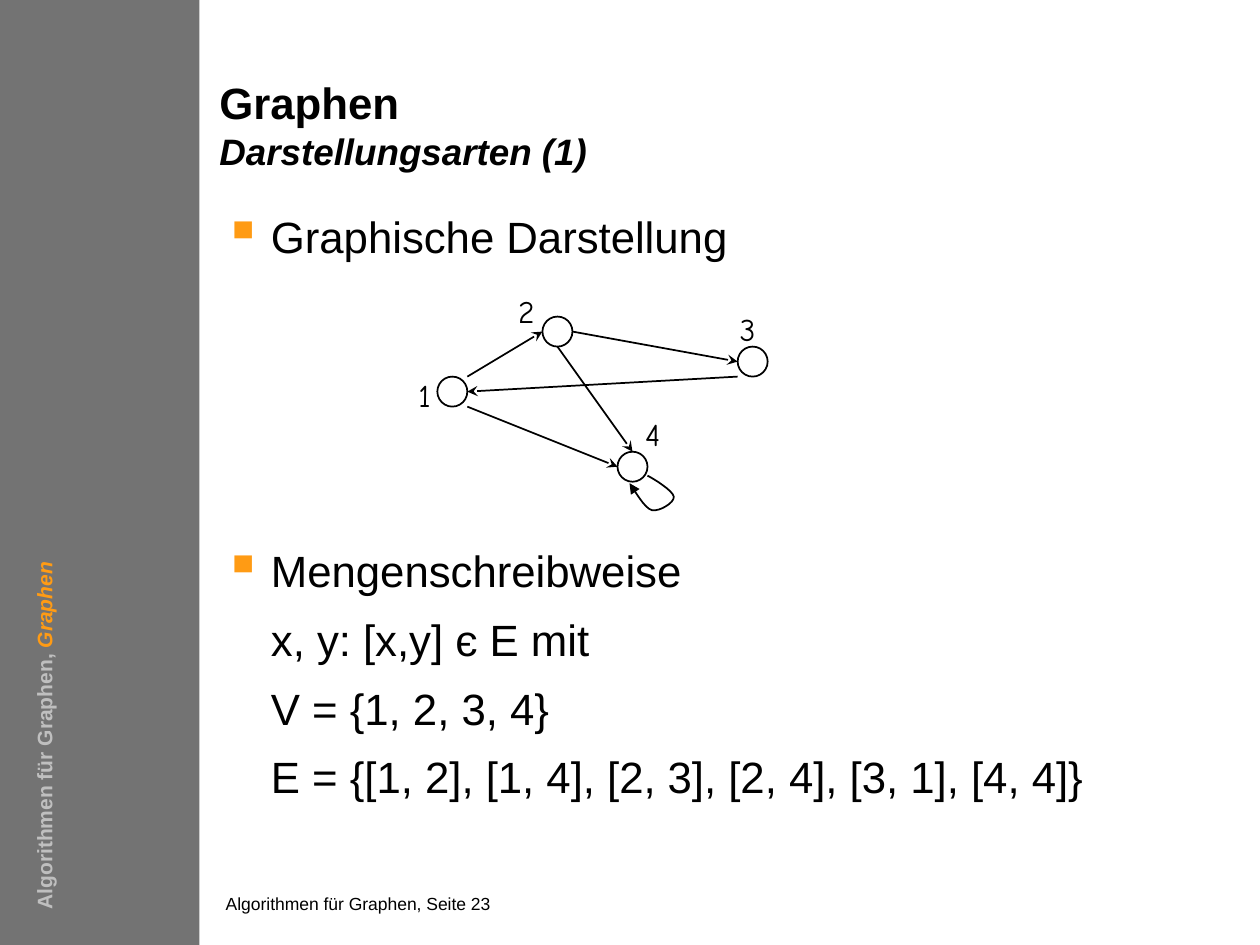
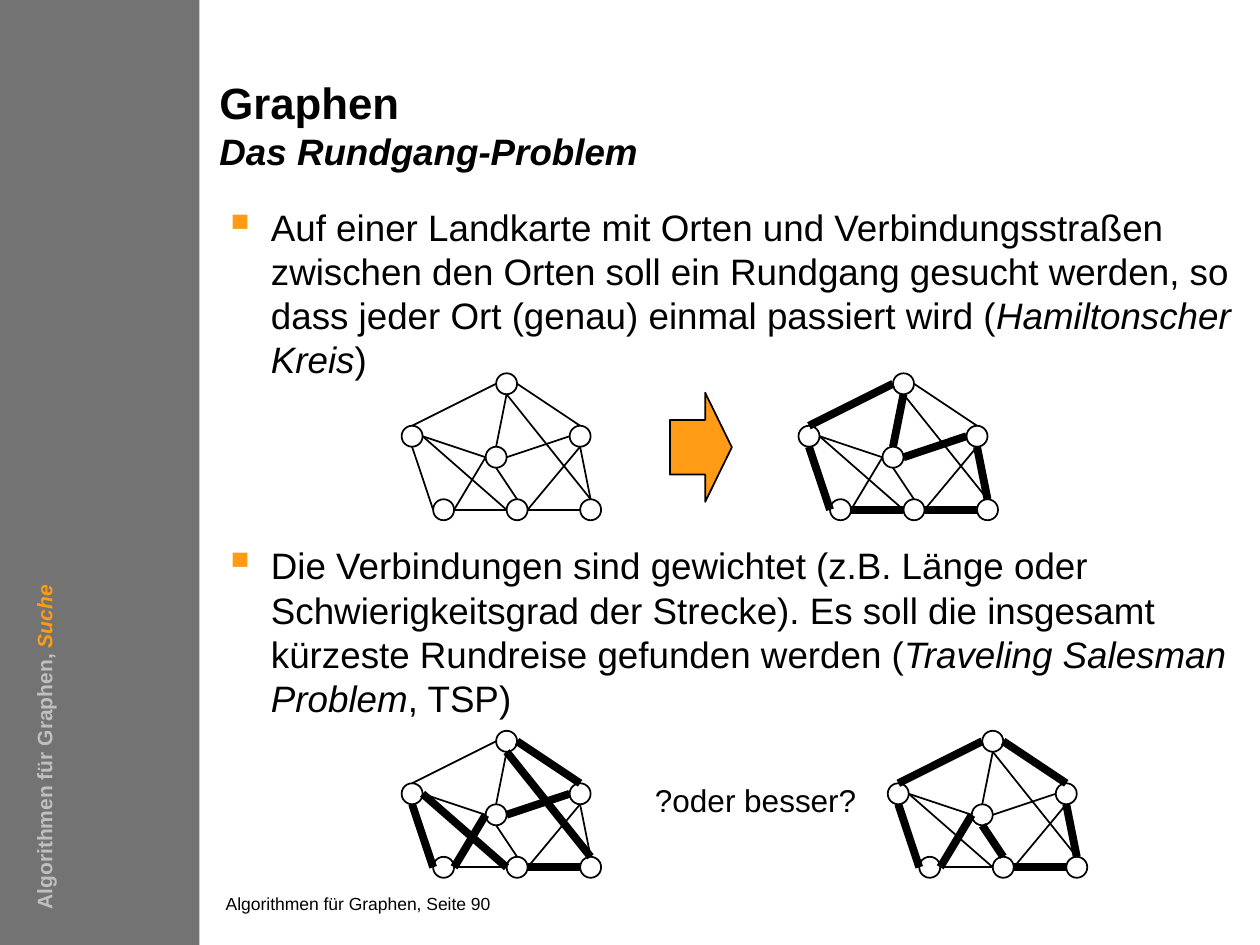
"""Build two lecture slides on graphs and round tours."""
from dataclasses import dataclass
from lxml.etree import SubElement
from pptx import Presentation
from pptx.dml.color import RGBColor
from pptx.enum.shapes import MSO_CONNECTOR, MSO_SHAPE
from pptx.oxml.ns import qn
from pptx.util import Inches, Pt


@dataclass(frozen=True)
class Theme:
    ink: RGBColor = RGBColor.from_string("000000")
    band: RGBColor = RGBColor.from_string("737373")
    pale: RGBColor = RGBColor.from_string("BFBFBF")
    glow: RGBColor = RGBColor.from_string("FF9B14")
    font: str = "Arial"
    hand: str = "Comic Neue"
    head: int = 25
    sub: int = 21
    label: int = 18
    side: int = 12
    foot: int = 10
    thin: float = 1
    thick: float = 4.5


theme = Theme()


@dataclass
class Line:
    words: tuple
    size: int
    bold: bool = False
    slant: bool = False
    tone: RGBColor = theme.ink
    hue: RGBColor = None
    lead: object = None
    gap: float = 0
    dot: bool = False
    left: float = 0
    face: str = theme.font


deck = Presentation()
deck.slide_width, deck.slide_height = Inches(10), Inches(7.5)
cell = deck.slide_width // 120


def box(slide, area, lines, pad=(0, 0), wrap=True):
    shape = slide.shapes.add_textbox(*(round(n * cell) for n in area))
    frame = shape.text_frame
    frame.word_wrap = wrap
    frame.margin_left = frame.margin_right = round(pad[0] * cell)
    frame.margin_top = frame.margin_bottom = round(pad[1] * cell)
    for rank, line in enumerate(lines):
        para = frame.add_paragraph() if rank else frame.paragraphs[0]
        para.line_spacing = line.lead
        if rank:
            para.space_before = Pt(line.gap)
        props = para._p.get_or_add_pPr()
        indent = round(line.left * cell)
        props.set("marL", str(indent))
        props.set("indent", str(-indent if line.dot else 0))
        if line.dot:
            SubElement(SubElement(props, qn("a:buClr")), qn("a:srgbClr"), val=str(theme.glow))
            SubElement(props, qn("a:buSzPct"), val="120000")
            SubElement(props, qn("a:buChar"), char="▪")
        font = para.font
        font.name, font.size, font.bold = line.face, Pt(line.size), line.bold
        font.italic = line.slant
        font.color.rgb = line.tone
        for turn, text in enumerate(line.words):
            run = para.add_run()
            run.text = text
            if turn % 2:
                run.font.italic = True
                if line.hue:
                    run.font.color.rgb = line.hue
    return shape


ports = {"N": (1, 0), "E": (2, 1), "S": (1, 2), "W": (0, 1),
         "NE": (2, 0), "SE": (2, 2), "SW": (0, 2)}


def plot(slide, left, top, unit, nodes, edges, bold=(), tip=None):
    group = slide.shapes.add_group_shape().shapes
    step = unit * cell
    for col, row in nodes.values():
        ring = group.add_shape(MSO_SHAPE.OVAL, round(left * cell + col * step),
                               round(top * cell + row * step), round(2 * step), round(2 * step))
        ring.shadow.inherit = False
        ring.fill.background()
        ring.line.color.rgb, ring.line.width = theme.ink, Pt(theme.thin)
    for rank, edge in enumerate(edges.split(), 1):
        ends = []
        for stop in edge.split("-"):
            (col, row), (right, down) = nodes[stop[0]], ports[stop[1:]]
            ends += [round(left * cell + (col + right) * step),
                     round(top * cell + (row + down) * step)]
        link = group.add_connector(MSO_CONNECTOR.STRAIGHT, *ends)
        link.line.color.rgb = theme.ink
        link.line.width = Pt(theme.thick if rank in bold else theme.thin)
        props = link._element.spPr
        if tip:
            SubElement(props.find(qn("a:ln")), qn("a:tailEnd"), type=tip)
        SubElement(props, qn("a:effectLst"))
    return group


pages = []
for topic, field, page in [("Darstellungsarten (1)", "Graphen", 23),
                           ("Das Rundgang-Problem", "Suche", 90)]:
    slide = deck.slides.add_slide(deck.slide_layouts[6])
    band = slide.shapes.add_shape(MSO_SHAPE.RECTANGLE, 0, 0, 19 * cell, deck.slide_height)
    band.shadow.inherit = False
    band.fill.solid()
    band.fill.fore_color.rgb = theme.band
    band.line.fill.background()
    box(slide, (21.5, 85, 58.3, 2.5),
        [Line((f"Algorithmen für Graphen, Seite {page}",), theme.foot)])
    box(slide, (20.9, 8, 61.2, 9),
        [Line(("Graphen",), theme.head, bold=True, lead=Pt(25.4)),
         Line((topic,), theme.sub, bold=True, slant=True, lead=Pt(25.4))])
    side = box(slide, (-23.8, 58, 56, 3.6),
               [Line(("Algorithmen für Graphen, ", field), theme.side, bold=True,
                     tone=theme.pale, hue=theme.glow)], pad=(1.2, 0.6))
    side.rotation = 270
    pages.append(slide)
forms, tours = pages

rows = [("Graphische Darstellung", True, 0), ("Mengenschreibweise", True, 158),
        ("x, y: [x,y] є E mit", False, 6.3), ("V = {1, 2, 3, 4}", False, 6.3),
        ("E = {[1, 2], [1, 4], [2, 3], [2, 4], [3, 1], [4, 4]}", False, 6.3)]
box(forms, (21.3, 19.5, 96.8, 64.3),
    [Line((text,), theme.head, lead=1.1, gap=gap, dot=dot, left=4.5)
     for text, dot, gap in rows])

left, top, unit = 41.65, 30.15, 1.43
group = plot(forms, left, top, unit, {"1": (0, 4), "2": (7, 0), "3": (20, 2), "4": (12, 9)},
             "1NE-2W 1SE-4W 2E-3W 3SW-1E 2S-4N", tip="stealth")
bends = [((14, 10.6), (14.4, 10.8), (15.7, 11.6), (15.75, 12)),
         ((15.75, 12), (15.8, 12.4), (14.8, 13), (14.3, 12.9)),
         ((14.3, 12.9), (13.8, 12.8), (13.1, 11.5), (12.8, 11.1))]
curve = []
for bend in bends:
    for tick in range(1, 9):
        t = tick / 8
        share = ((1 - t) ** 3, 3 * t * (1 - t) ** 2, 3 * t * t * (1 - t), t ** 3)
        curve.append([round((base + unit * sum(s * p[axis] for s, p in zip(share, bend))) * cell)
                      for axis, base in enumerate((left, top))])
start = bends[0][0]
pen = group.build_freeform(round((left + unit * start[0]) * cell),
                           round((top + unit * start[1]) * cell))
pen.add_line_segments(curve, close=False)
loop = pen.convert_to_shape()
loop.shadow.inherit = False
loop.fill.background()
loop.line.color.rgb, loop.line.width = theme.ink, Pt(theme.thin)
SubElement(loop._element.spPr.find(qn("a:ln")), qn("a:tailEnd"), type="triangle")

for name, col, row in [("1", 38.3, 35), ("2", 47.8, 27), ("3", 68.9, 28.7), ("4", 59.9, 38.7)]:
    box(forms, (col, row, 5, 5.2), [Line((name,), theme.label, face=theme.hand)],
        pad=(1.55, 0.8), wrap=False)

box(tours, (21.3, 19.5, 96.8, 52),
    [Line(("Auf einer Landkarte mit Orten und Verbindungsstraßen zwischen den Orten soll ein "
           "Rundgang gesucht werden, so dass jeder Ort (genau) einmal passiert wird (",
           "Hamiltonscher Kreis", ")"), theme.sub, dot=True, left=4.5),
     Line(("Die Verbindungen sind gewichtet (z.B. Länge oder Schwierigkeitsgrad der Strecke). "
           "Es soll die insgesamt kürzeste Rundreise gefunden werden (",
           "Traveling Salesman Problem", ", TSP)"), theme.sub, gap=92.6, dot=True, left=4.5)])
towns = {"a": (0, 5), "b": (3, 12), "c": (8, 7), "d": (16, 5),
         "e": (10, 12), "f": (9, 0), "g": (17, 12)}
roads = ("aN-fW fE-dN aS-bW aE-cW fS-cN cE-dW gN-dS "
         "gW-eE eW-bE eN-cS gN-fS eE-dS eW-aE bE-cW")
for left, top, bold in [(38.25, 35.55, ()), (76.05, 35.55, (1, 3, 5, 6, 7, 8, 9)),
                        (38.25, 69.6, (2, 3, 6, 8, 11, 13, 14)),
                        (84.55, 69.6, (1, 2, 3, 7, 8, 10, 14))]:
    plot(tours, left, top, 1, towns, roads, bold)

arrow = tours.shapes.add_shape(MSO_SHAPE.RIGHT_ARROW,
                               *(round(n * cell) for n in (63.8, 37.4, 5.9, 10.4)))
arrow.shadow.inherit = False
arrow.adjustments[0], arrow.adjustments[1] = 0.5, 0.43
arrow.fill.solid()
arrow.fill.fore_color.rgb = theme.glow
arrow.line.color.rgb, arrow.line.width = theme.ink, Pt(theme.thin)
box(tours, (61.2, 73.8, 21.6, 4.8), [Line(("?oder besser?",), theme.label)],
    pad=(1.2, 0.6), wrap=False)

deck.save("out.pptx")
